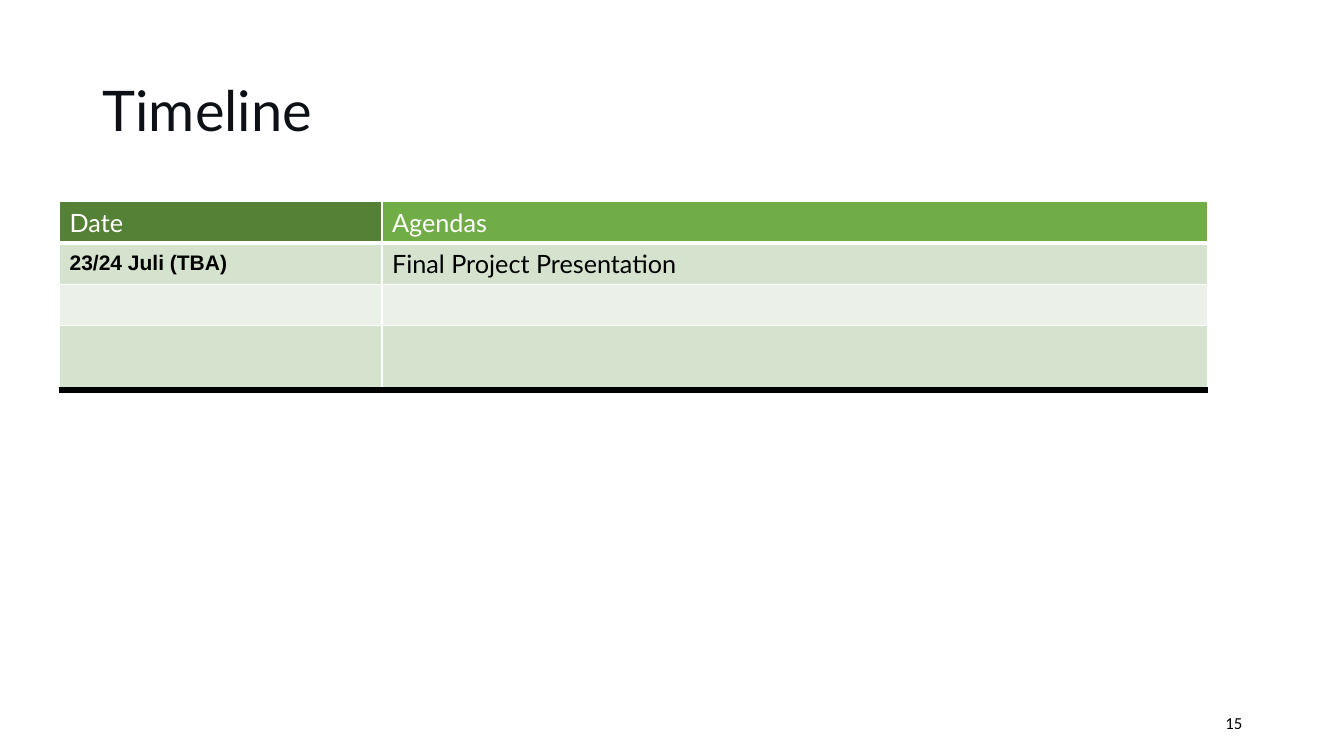
from dataclasses import dataclass
from itertools import accumulate

from lxml.etree import SubElement
from pptx import Presentation
from pptx.dml.color import RGBColor
from pptx.enum.text import MSO_ANCHOR as Anchor, PP_ALIGN as Align
from pptx.oxml.ns import qn
from pptx.slide import Slide
from pptx.table import _Cell as Cell
from pptx.text.text import TextFrame
from pptx.util import Inches, Length, Pt

SLIDE_WIDTH, SLIDE_HEIGHT = Inches(13.33), Inches(7.5)


@dataclass(frozen=True)
class Style:
    font: str
    size: float
    color: str
    bold: bool = False


@dataclass(frozen=True)
class Theme:
    title: Style = Style("Lato", 40, "0D1115")
    header: Style = Style("Lato", 18, "FFFFFF")
    date: Style = Style("Arial", 15, "000000", True)
    agenda: Style = Style("Lato", 18, "000000")
    page: Style = Style("Calibri", 12, "000000")
    header_fills: tuple[str, str] = ("548135", "70AD47")
    bands: tuple[str, str] = ("D4E2CE", "EBF1E8")
    grid: str = "FFFFFF"
    closing: str = "000000"


@dataclass(frozen=True)
class Box:
    """A frame whose sides are percentages of the slide's size."""
    left: float
    top: float
    width: float
    height: float

    def lengths(self) -> tuple[Length, ...]:
        return (across(self.left), down(self.top),
                across(self.width), down(self.height))


@dataclass(frozen=True)
class Label:
    text: str
    box: Box
    style: Style
    align: Align
    line_spacing: float = 1.0


@dataclass(frozen=True)
class Border:
    color: str
    width: float


@dataclass(frozen=True)
class Entry:
    date: str = ""
    agenda: str = ""
    height: float = 5.47


THEME = Theme()
LABELS = (
    Label("15", Box(70.67, 92.93, 22.5, 5.33), THEME.page, Align.RIGHT),
    Label("Timeline", Box(6.9, 5.33, 86.27, 19.33), THEME.title, Align.LEFT, 0.9),
)
ENTRIES = (
    Entry("Date", "Agendas"),
    Entry("23/24 Juli (TBA)", "Final Project Presentation"),
    Entry(),
    Entry(height=8.53),
)
COLUMNS = (24.0, 61.44)
TABLE_LEFT, TABLE_TOP = 4.43, 26.67
THIN = Border(THEME.grid, 1)
HEADER_RULE = Border(THEME.grid, 3)
CLOSING_RULE = Border(THEME.closing, 4.5)


def across(percent: float) -> Length:
    return Length(round(SLIDE_WIDTH * percent / 100))


def down(percent: float) -> Length:
    return Length(round(SLIDE_HEIGHT * percent / 100))


def write(frame: TextFrame, text: str, style: Style,
          align: Align = Align.LEFT, line_spacing: float = 1.0) -> None:
    paragraph = frame.paragraphs[0]
    paragraph.alignment = align
    paragraph.line_spacing = line_spacing
    run = paragraph.add_run()
    run.text = text
    font = run.font
    font.name, font.size, font.bold = style.font, Pt(style.size), style.bold
    font.color.rgb = RGBColor.from_string(style.color)


def add_label(slide: Slide, label: Label) -> None:
    frame = slide.shapes.add_textbox(*label.box.lengths()).text_frame
    frame.word_wrap = True
    frame.vertical_anchor = Anchor.MIDDLE
    write(frame, label.text, label.style, label.align, label.line_spacing)


def set_borders(cell: Cell, top: Border, bottom: Border) -> None:
    """Draw the four sides; they must precede the cell's fill in the XML."""
    properties = cell._tc.get_or_add_tcPr()
    sides = {"lnL": THIN, "lnR": THIN, "lnT": top, "lnB": bottom}
    for side, border in sides.items():
        line = SubElement(properties, qn(f"a:{side}"), w=str(Pt(border.width)))
        fill = SubElement(line, qn("a:solidFill"))
        SubElement(fill, qn("a:srgbClr"), val=border.color)


def add_timeline(slide: Slide) -> None:
    height = list(accumulate(entry.height for entry in ENTRIES))[-1]
    box = Box(TABLE_LEFT, TABLE_TOP, sum(COLUMNS), height)
    table = slide.shapes.add_table(
        len(ENTRIES), len(COLUMNS), *box.lengths()).table
    table.first_row = table.horz_banding = False
    for column, width in zip(table.columns, COLUMNS):
        column.width = across(width)

    rules = (THIN, HEADER_RULE, *[THIN] * (len(ENTRIES) - 2), CLOSING_RULE)
    for index, (row, entry) in enumerate(zip(table.rows, ENTRIES)):
        row.height = down(entry.height)
        is_header = index == 0
        band = THEME.bands[(index - 1) % 2]
        fills = THEME.header_fills if is_header else (band, band)
        styles = (THEME.header,) * 2 if is_header else (THEME.date, THEME.agenda)
        for cell, text, fill, style in zip(
                row.cells, (entry.date, entry.agenda), fills, styles):
            set_borders(cell, rules[index], rules[index + 1])
            cell.fill.solid()
            cell.fill.fore_color.rgb = RGBColor.from_string(fill)
            cell.vertical_anchor = Anchor.MIDDLE
            if text:
                write(cell.text_frame, text, style)


def main() -> None:
    presentation = Presentation()
    presentation.slide_width = SLIDE_WIDTH
    presentation.slide_height = SLIDE_HEIGHT
    slide = presentation.slides.add_slide(presentation.slide_layouts[6])
    for label in LABELS:
        add_label(slide, label)
    add_timeline(slide)
    presentation.save("out.pptx")


if __name__ == "__main__":
    main()
